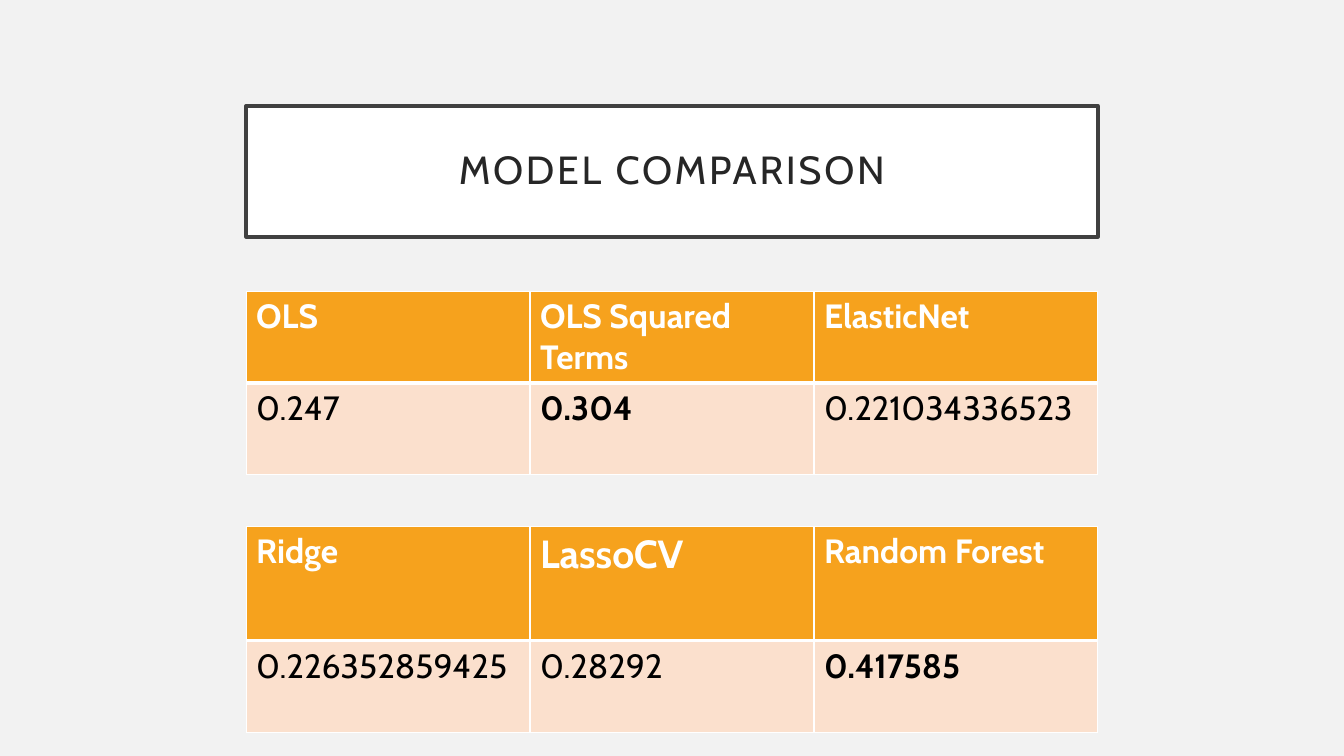
from lxml.etree import SubElement
from pptx import Presentation
from pptx.dml.color import RGBColor
from pptx.enum.text import MSO_ANCHOR, MSO_AUTO_SIZE, PP_ALIGN
from pptx.oxml.ns import qn
from pptx.util import Pt

FONT = "Cabin"
WHITE = RGBColor(0xFF, 0xFF, 0xFF)
BLACK = RGBColor(0x00, 0x00, 0x00)
BACKGROUND = RGBColor(0xF2, 0xF2, 0xF2)
FRAME = RGBColor(0x40, 0x40, 0x40)
TITLE_TEXT = RGBColor(0x26, 0x26, 0x26)
ORANGE = RGBColor(0xF6, 0xA2, 0x1D)
PEACH = RGBColor(0xFB, 0xE0, 0xCD)

# Title and tables share the same column on the page
LEFT, WIDTH = Pt(175.8), Pt(608.4)


def style_text(para, size, color, bold=False):
    font = para.font
    font.name = FONT
    font.size = Pt(size)
    font.bold = bold
    font.color.rgb = color


def add_title(page, text):
    title = page.shapes.title
    title.left, title.top, title.width, title.height = LEFT, Pt(75.6), WIDTH, Pt(93.6)
    title.fill.solid()
    title.fill.fore_color.rgb = WHITE
    title.line.color.rgb = FRAME
    title.line.width = Pt(2.5)

    frame = title.text_frame
    frame.word_wrap = True
    frame.auto_size = MSO_AUTO_SIZE.NONE
    frame.vertical_anchor = MSO_ANCHOR.MIDDLE
    frame.margin_left = frame.margin_right = Pt(14.4)
    frame.margin_top = frame.margin_bottom = Pt(14.4)

    para = frame.paragraphs[0]
    span = para.add_run()
    span.text = text
    span.font._element.set("spc", "200")
    para.alignment = PP_ALIGN.CENTER
    para.line_spacing = 0.9
    style_text(para, 28, TITLE_TEXT)


def set_borders(cell, top, bottom):
    properties = cell._tc.get_or_add_tcPr()
    for side, width in (("L", 1), ("R", 1), ("T", top), ("B", bottom)):
        line = SubElement(properties, qn(f"a:ln{side}"), w=str(Pt(width)))
        fill = SubElement(line, qn("a:solidFill"))
        SubElement(fill, qn("a:srgbClr"), val=str(WHITE))


def fill_cell(cell, text, size, is_header, bold):
    # Thick rule between the header and the values
    set_borders(cell, *((1, 3) if is_header else (3, 1)))
    cell.fill.solid()
    cell.fill.fore_color.rgb = ORANGE if is_header else PEACH
    cell.text = text
    style_text(cell.text_frame.paragraphs[0], size, WHITE if is_header else BLACK, bold)


def add_score_table(page, top, heights, scores, best, sizes=(24, 24, 24)):
    shape = page.shapes.add_table(2, len(scores), LEFT, Pt(top), WIDTH, Pt(sum(heights)))
    table = shape.table
    for row, height in zip(table.rows, heights):
        row.height = Pt(height)
    for index, (model, score) in enumerate(scores):
        fill_cell(table.cell(0, index), model, sizes[index], True, True)
        fill_cell(table.cell(1, index), score, 24, False, model == best)


def main():
    deck = Presentation()
    deck.slide_width, deck.slide_height = Pt(960), Pt(540)
    page = deck.slides.add_slide(deck.slide_layouts[5])
    page.background.fill.solid()
    page.background.fill.fore_color.rgb = BACKGROUND

    add_title(page, "MODEL COMPARISON")

    # Lower table
    add_score_table(
        page, 375.8, (81.8, 65.5),
        [("Ridge", "0.226352859425"), ("LassoCV", "0.28292"), ("Random Forest", "0.417585")],
        best="Random Forest", sizes=(24, 28, 24))

    # Upper table
    add_score_table(
        page, 208, (65.5, 65.5),
        [("OLS", "0.247"), ("OLS Squared Terms", "0.304"), ("ElasticNet", "0.221034336523")],
        best="OLS Squared Terms")

    deck.save("out.pptx")


if __name__ == "__main__":
    main()
